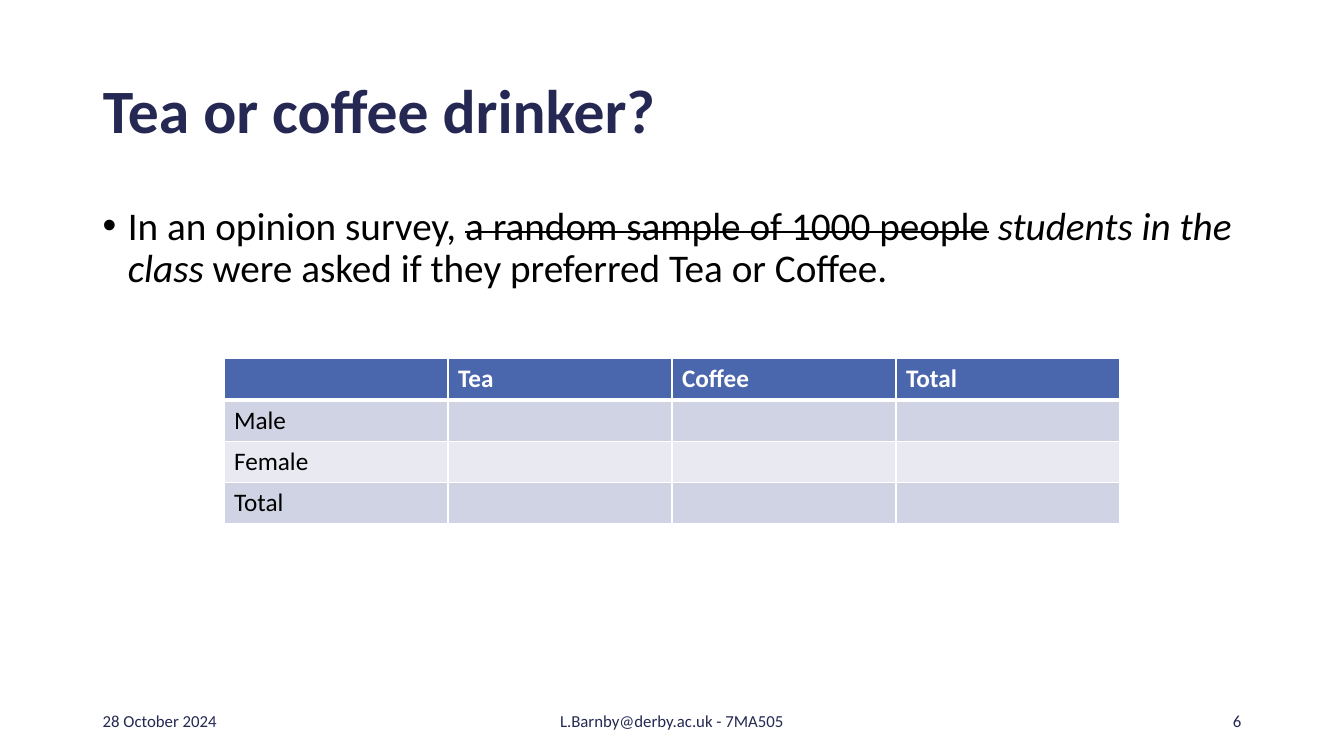
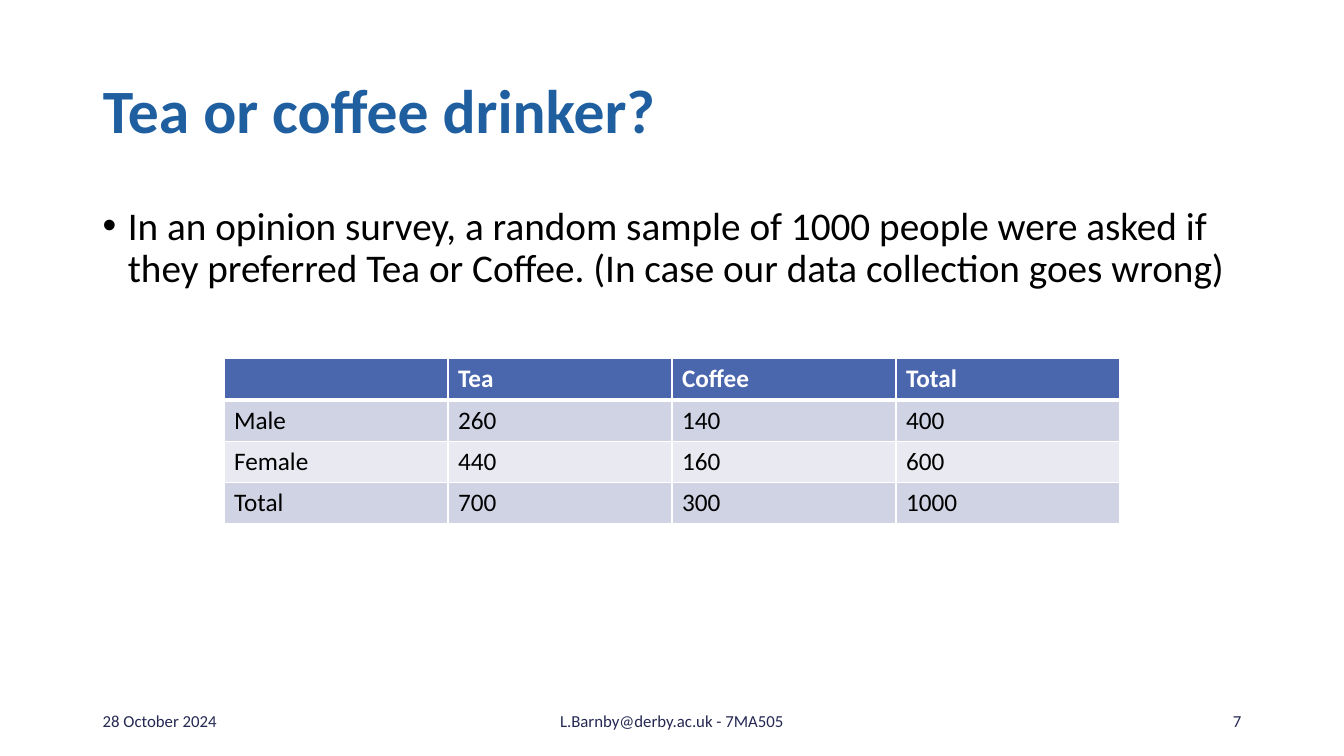
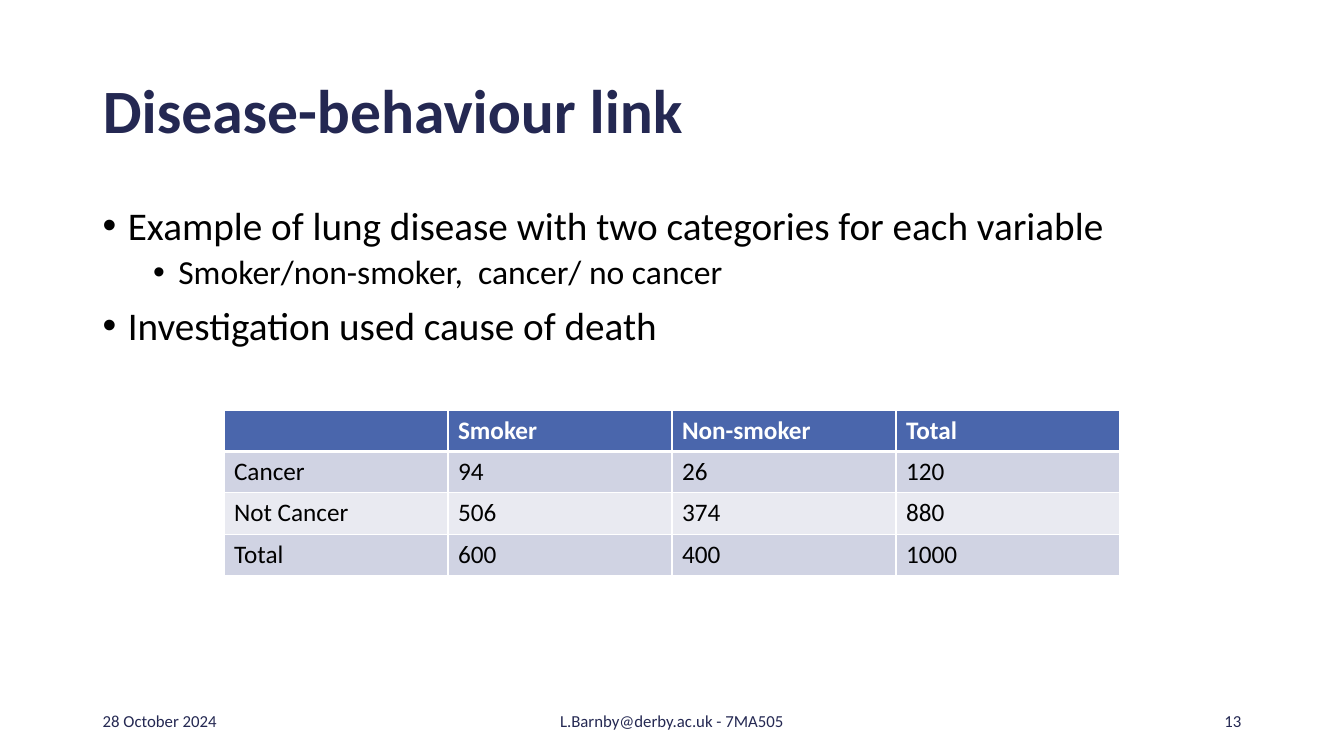
from dataclasses import dataclass

from lxml import etree
from pptx import Presentation, util as u
from pptx.dml.color import RGBColor
from pptx.enum import text
from pptx.oxml import ns


@dataclass(frozen=True)
class Theme:
    font: str = "Calibri"
    navy: str = "242852"
    blue: str = "1F5FA0"
    header: str = "4A66AC"
    bands: tuple = ("D0D3E3", "E9EAF1")
    ink: str = "000000"
    white: str = "FFFFFF"
    title: int = 44
    bullets: tuple = (28, 24)
    cell: int = 18
    footer: int = 12


T = Theme()
WIDTH, HEIGHT = 13.33, 7.5
MARGIN = 0.92
CONTENT = WIDTH - 2 * MARGIN
FOOTER_TOP, FOOTER_HEIGHT = 6.95, 0.4
INDENT, BULLET_STEP = 0.25, 0.5
SPACE_BEFORE = (10, 5)
ROW_HEIGHT = 0.41
ALIGN = text.PP_ALIGN
MIDDLE = text.MSO_ANCHOR.MIDDLE


def add_run(p, content, size, color=T.ink, bold=False, italic=False, strike=False):
    r = p.add_run()
    r.text = content
    r.font.name, r.font.size = T.font, u.Pt(size)
    r.font.bold, r.font.italic = bold, italic
    r.font.color.rgb = RGBColor.from_string(color)
    if strike:
        r._r.get_or_add_rPr().set("strike", "sngStrike")


def place(sp, left, top, width, height):
    sp.left, sp.top, sp.width, sp.height = map(u.Inches, (left, top, width, height))


def add_box(s, left, top, width, height, anchor=text.MSO_ANCHOR.TOP):
    sp = s.shapes.add_textbox(*map(u.Inches, (left, top, width, height)))
    tf = sp.text_frame
    tf.word_wrap, tf.vertical_anchor = True, anchor
    return tf


def set_title(s, content, color):
    sp = s.shapes.title
    place(sp, MARGIN, 0.4, CONTENT, 1.45)
    tf = sp.text_frame
    tf.word_wrap, tf.vertical_anchor = True, MIDDLE
    tf.auto_size = text.MSO_AUTO_SIZE.NONE
    p = tf.paragraphs[0]
    p.alignment, p.line_spacing = ALIGN.LEFT, 0.9
    add_run(p, content, T.title, color, bold=True)


def add_bullets(s, items):
    """Items are (level, runs); a run is (text, format keywords)."""
    tf = add_box(s, MARGIN, 2, CONTENT, 4.76)
    for i, (level, runs) in enumerate(items):
        p = tf.add_paragraph() if i else tf.paragraphs[0]
        p.level, p.line_spacing = level, 0.9
        if i:
            p.space_before = u.Pt(SPACE_BEFORE[level])
        pPr = p._p.get_or_add_pPr()
        pPr.set("marL", str(u.Inches(INDENT + level * BULLET_STEP)))
        pPr.set("indent", str(-u.Inches(INDENT)))
        etree.SubElement(pPr, ns.qn("a:buFont")).set("typeface", "Arial")
        etree.SubElement(pPr, ns.qn("a:buChar")).set("char", "•")
        for content, style in runs:
            add_run(p, content, T.bullets[level], **style)


def set_borders(cell, **widths):
    """Draw white borders, 1 pt wide unless a side is given in points."""
    tcPr = cell._tc.get_or_add_tcPr()
    for side in "LRTB":
        ln = etree.SubElement(tcPr, ns.qn(f"a:ln{side}"), w=str(u.Pt(widths.get(side, 1))))
        fill = etree.SubElement(ln, ns.qn("a:solidFill"))
        etree.SubElement(fill, ns.qn("a:srgbClr"), val=T.white)


def add_table(s, top, rows):
    n_rows, n_cols = len(rows), len(rows[0])
    width = WIDTH * 2 / 3
    frame = s.shapes.add_table(n_rows, n_cols, u.Inches((WIDTH - width) / 2), u.Inches(top),
                               u.Inches(width), u.Inches(n_rows * ROW_HEIGHT))
    table = frame.table
    table.horz_banding = False
    for i, values in enumerate(rows):
        is_header = i == 0
        fill = T.header if is_header else T.bands[(i - 1) % 2]
        borders = {0: {"B": 3}, 1: {"T": 3}}.get(i, {})
        for j, value in enumerate(values):
            cell = table.cell(i, j)
            set_borders(cell, **borders)
            cell.fill.solid()
            cell.fill.fore_color.rgb = RGBColor.from_string(fill)
            if value != "":
                add_run(cell.text_frame.paragraphs[0], str(value), T.cell,
                        T.white if is_header else T.ink, bold=is_header)


def add_footer(s, number):
    side, centre = 3, 4.5
    parts = (
        (MARGIN, side, ALIGN.LEFT, "28 October 2024"),
        ((WIDTH - centre) / 2, centre, ALIGN.CENTER, "L.Barnby@derby.ac.uk - 7MA505"),
        (WIDTH - MARGIN - side, side, ALIGN.RIGHT, str(number)),
    )
    for left, width, align, content in parts:
        p = add_box(s, left, FOOTER_TOP, width, FOOTER_HEIGHT, MIDDLE).paragraphs[0]
        p.alignment = align
        add_run(p, content, T.footer, T.navy)


def add_slide(prs, number, title, bullets, table_top, rows, title_color=T.navy):
    s = prs.slides.add_slide(prs.slide_layouts[5])
    set_title(s, title, title_color)
    add_bullets(s, bullets)
    add_footer(s, number)
    add_table(s, table_top, rows)


def main():
    prs = Presentation()
    prs.slide_width, prs.slide_height = u.Inches(WIDTH), u.Inches(HEIGHT)
    drinks = ("", "Tea", "Coffee", "Total")

    add_slide(prs, 6, "Tea or coffee drinker?", [
        (0, [("In an opinion survey, ", {}),
             ("a random sample of 1000 people", {"strike": True}),
             (" ", {}),
             ("students in the class", {"italic": True}),
             (" were asked if they preferred Tea or Coffee.", {})]),
    ], 3.56, [drinks] + [(name, "", "", "") for name in ("Male", "Female", "Total")])

    add_slide(prs, 7, "Tea or coffee drinker?", [
        (0, [("In an opinion survey, a random sample of 1000 people were asked if they "
              "preferred Tea or Coffee. (In case our data collection goes wrong)", {})]),
    ], 3.56, [
        drinks,
        ("Male", 260, 140, 400),
        ("Female", 440, 160, 600),
        ("Total", 700, 300, 1000),
    ], title_color=T.blue)

    add_slide(prs, 13, "Disease-behaviour link", [
        (0, [("Example of lung disease with two categories for each variable", {})]),
        (1, [("Smoker/non-smoker,  cancer/ no cancer", {})]),
        (0, [("Investigation used cause of death", {})]),
    ], 4.07, [
        ("", "Smoker", "Non-smoker", "Total"),
        ("Cancer", 94, 26, 120),
        ("Not Cancer", 506, 374, 880),
        ("Total", 600, 400, 1000),
    ])

    prs.save("out.pptx")


if __name__ == "__main__":
    main()
